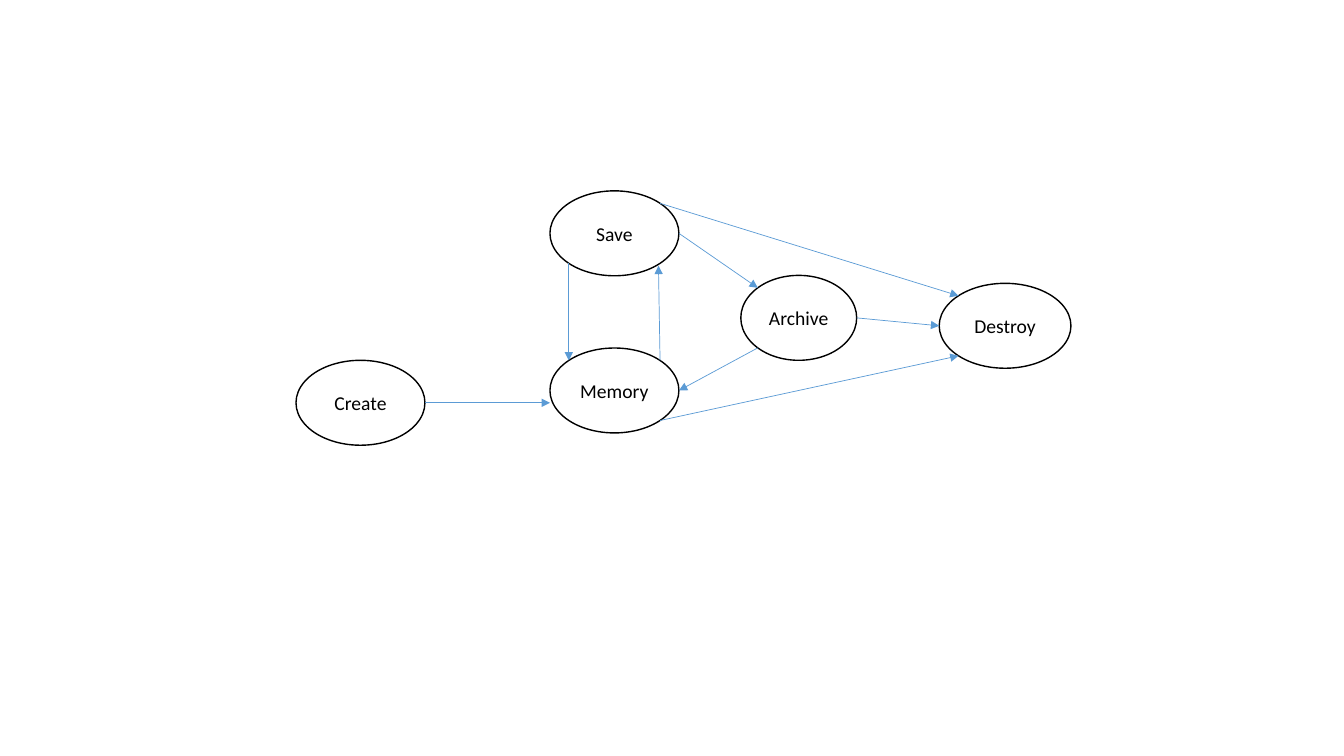
from dataclasses import dataclass
from enum import Enum
from math import cos, radians, sin

from lxml.etree import SubElement
from pptx import Presentation
from pptx.dml.color import RGBColor
from pptx.enum.shapes import MSO_CONNECTOR, MSO_SHAPE
from pptx.enum.text import MSO_ANCHOR, PP_ALIGN
from pptx.oxml.ns import qn
from pptx.slide import Slide
from pptx.text.text import TextFrame
from pptx.util import Cm, Pt

COLORS = {"fill": "FFFFFF", "outline": "000000", "text": "000000", "arrow": "5B9BD5"}
STATE_HEIGHT = 2.14


class Site(Enum):
    """Place on an ellipse, as a clockwise angle from its right end."""

    RIGHT = 0
    BOTTOM_RIGHT = 45
    BOTTOM_LEFT = 135
    LEFT = 180
    TOP_LEFT = 225
    TOP_RIGHT = 315


@dataclass(frozen=True)
class State:
    """One ellipse of the life cycle, in centimetres."""

    name: str
    left: float
    top: float
    width: float = 3.25

    def point(self, site: Site) -> tuple[float, float]:
        """Return the point of a site on the outline."""
        angle = radians(site.value)
        x = self.left + self.width / 2 * (1 + cos(angle))
        y = self.top + STATE_HEIGHT / 2 * (1 + sin(angle))
        return x, y


@dataclass(frozen=True)
class Transition:
    """One arrow between two states; its end may be shifted off the site."""

    source: State
    start: Site
    target: State
    end: Site
    shift_x: float = 0
    shift_y: float = 0


CREATE = State("Create", 7.46, 9.08)
MEMORY = State("Memory", 13.86, 8.77)
SAVE = State("Save", 13.86, 4.81)
ARCHIVE = State("Archive", 18.67, 6.94, 2.92)
DESTROY = State("Destroy", 23.67, 7.14, 3.32)
STATES = [CREATE, MEMORY, SAVE, ARCHIVE, DESTROY]

TRANSITIONS = [
    Transition(CREATE, Site.RIGHT, MEMORY, Site.LEFT, shift_y=CREATE.top - MEMORY.top),
    Transition(MEMORY, Site.TOP_RIGHT, SAVE, Site.BOTTOM_RIGHT, -0.04, 0.06),
    Transition(SAVE, Site.BOTTOM_LEFT, MEMORY, Site.TOP_LEFT),
    Transition(SAVE, Site.RIGHT, ARCHIVE, Site.TOP_LEFT),
    Transition(SAVE, Site.TOP_RIGHT, DESTROY, Site.TOP_LEFT),
    Transition(ARCHIVE, Site.RIGHT, DESTROY, Site.LEFT),
    Transition(ARCHIVE, Site.BOTTOM_LEFT, MEMORY, Site.RIGHT),
    Transition(MEMORY, Site.BOTTOM_RIGHT, DESTROY, Site.BOTTOM_LEFT),
]


def color(name: str) -> RGBColor:
    """Return a named colour."""
    return RGBColor.from_string(COLORS[name])


def write_text(
    frame: TextFrame,
    text: str,
    *,
    size: float = 14,
    font: str = "Calibri",
    color_name: str = "text",
    align: PP_ALIGN = PP_ALIGN.CENTER,
    anchor: MSO_ANCHOR = MSO_ANCHOR.MIDDLE,
) -> None:
    """Write one formatted paragraph into a text frame."""
    frame.vertical_anchor = anchor
    paragraph = frame.paragraphs[0]
    paragraph.alignment = align
    run = paragraph.add_run()
    run.text = text
    run.font.name = font
    run.font.size = Pt(size)
    run.font.color.rgb = color(color_name)


def draw_state(slide: Slide, state: State) -> None:
    """Draw a state as a labelled ellipse."""
    shape = slide.shapes.add_shape(
        MSO_SHAPE.OVAL, Cm(state.left), Cm(state.top), Cm(state.width), Cm(STATE_HEIGHT)
    )
    shape.shadow.inherit = False
    shape.fill.solid()
    shape.fill.fore_color.rgb = color("fill")
    shape.line.color.rgb = color("outline")
    shape.line.width = Pt(1)
    write_text(shape.text_frame, state.name)


def draw_transition(slide: Slide, transition: Transition) -> None:
    """Draw a transition as a straight arrow."""
    start_x, start_y = transition.source.point(transition.start)
    end_x, end_y = transition.target.point(transition.end)
    connector = slide.shapes.add_connector(
        MSO_CONNECTOR.STRAIGHT,
        Cm(start_x),
        Cm(start_y),
        Cm(end_x + transition.shift_x),
        Cm(end_y + transition.shift_y),
    )
    connector.line.color.rgb = color("arrow")
    connector.line.width = Pt(0.5)
    properties = connector.element.spPr
    SubElement(properties.find(qn("a:ln")), qn("a:tailEnd"), type="triangle")
    SubElement(properties, qn("a:effectLst"))


def main() -> None:
    """Build the life cycle slide."""
    presentation = Presentation()
    presentation.slide_width = Cm(33.87)
    presentation.slide_height = Cm(19.05)
    slide = presentation.slides.add_slide(presentation.slide_layouts[6])
    for state in STATES:
        draw_state(slide, state)
    for transition in TRANSITIONS:
        draw_transition(slide, transition)
    presentation.save("out.pptx")


main()
